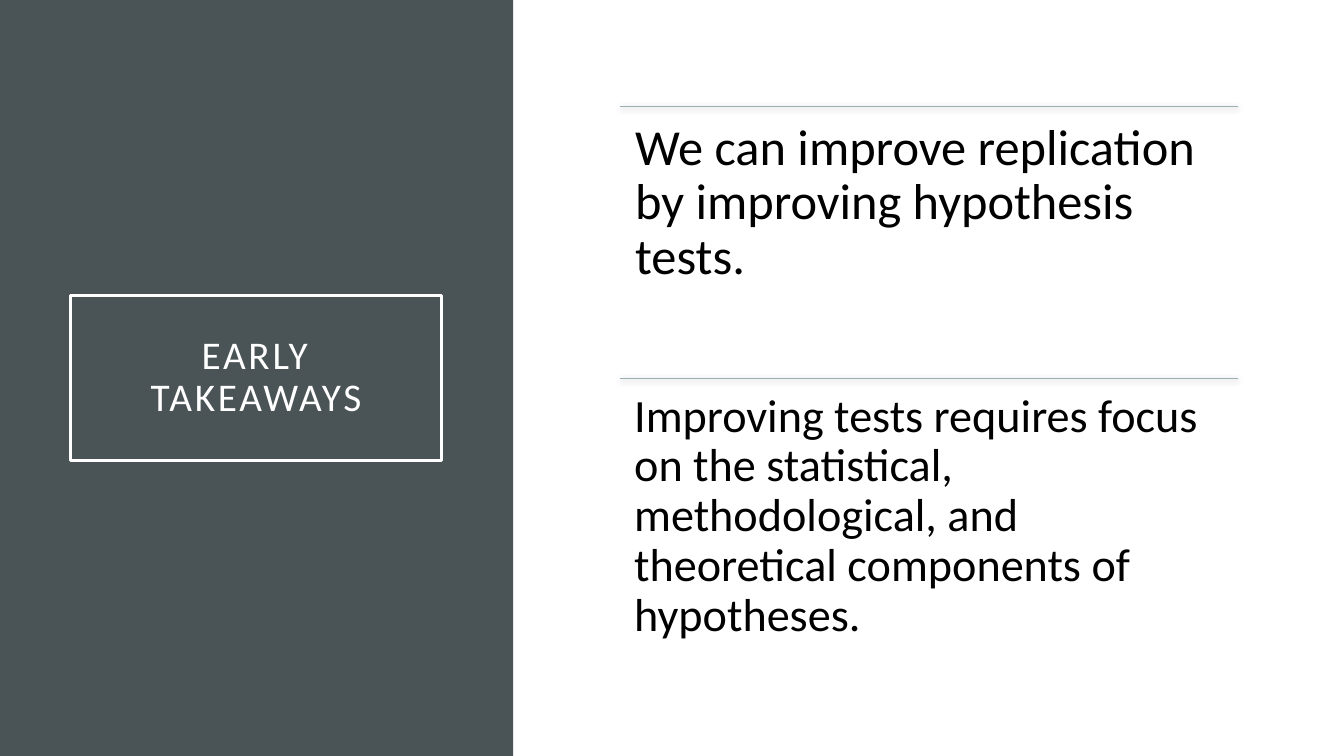
from dataclasses import dataclass

from lxml import etree
from pptx import Presentation
from pptx.dml.color import RGBColor
from pptx.enum.shapes import MSO_CONNECTOR, MSO_SHAPE
from pptx.enum.text import MSO_ANCHOR, MSO_AUTO_SIZE, PP_ALIGN
from pptx.oxml.ns import qn
from pptx.util import Inches, Pt

STRAIGHT = MSO_CONNECTOR.STRAIGHT
RECTANGLE = MSO_SHAPE.RECTANGLE
TOP, MIDDLE = MSO_ANCHOR.TOP, MSO_ANCHOR.MIDDLE
LEFT, CENTER = PP_ALIGN.LEFT, PP_ALIGN.CENTER
NO_AUTOFIT = MSO_AUTO_SIZE.NONE

# Content: text, type size, inset in inches
TITLE = "EARLY TAKEAWAYS"
TAKEAWAYS = [
    ("We can improve replication by improving hypothesis tests.", 36, 0.15),
    ("Improving tests requires focus on the statistical, methodological, "
     "and theoretical components of hypotheses.", 33, 0.14),
]

# Layout in inches
SLIDE_WIDTH, SLIDE_HEIGHT = 13.33, 7.5
PANEL_WIDTH = 5.09
TITLE_BOX = (0.7, 2.93, 3.68, 1.64)
LIST_LEFT, LIST_TOP, LIST_WIDTH = 6.15, 1.06, 6.13
ROW_HEIGHT = 2.69
TITLE_ONLY_LAYOUT = 5


@dataclass(frozen=True)
class Theme:
    font: str = "Calibri"
    panel: RGBColor = RGBColor(0x4A, 0x53, 0x56)
    on_panel: RGBColor = RGBColor(0xFF, 0xFF, 0xFF)
    text: RGBColor = RGBColor(0, 0, 0)
    rule: RGBColor = RGBColor(0x9B, 0xAF, 0xB5)
    shadow: str = "000000"
    title_size: int = 28
    title_spacing: int = 2
    frame_width: float = 2.5
    rule_width: float = 0.5


THEME = Theme()


def write_text(shape, text, *, size, color, inset, align=LEFT, anchor=TOP, spacing=0):
    """Fill a shape with one formatted paragraph."""
    frame = shape.text_frame
    frame.word_wrap = True
    frame.auto_size = NO_AUTOFIT
    frame.vertical_anchor = anchor
    frame.margin_left = frame.margin_right = Inches(inset)
    frame.margin_top = frame.margin_bottom = Inches(inset)
    paragraph = frame.paragraphs[0]
    paragraph.alignment = align
    paragraph.line_spacing = 0.9
    paragraph.space_before = Pt(0)
    run = paragraph.add_run()
    run.text = text
    run.font.name = THEME.font
    run.font.size = Pt(size)
    run.font.color.rgb = color
    if spacing:
        run.font._element.set("spc", str(spacing * 100))


def add_rule(slide, top):
    """Draw a thin line with a soft shadow below it."""
    rule = slide.shapes.add_connector(
        STRAIGHT, Inches(LIST_LEFT), Inches(top),
        Inches(LIST_LEFT + LIST_WIDTH), Inches(top))
    rule.line.color.rgb = THEME.rule
    rule.line.width = Pt(THEME.rule_width)
    properties = rule.element.find(qn("p:spPr"))
    effects = etree.SubElement(properties, qn("a:effectLst"))
    shadow = etree.SubElement(
        effects, qn("a:outerShdw"), blurRad=str(Pt(4.4)), dist=str(Pt(1.2)),
        dir="5400000", algn="ctr", rotWithShape="0")
    color = etree.SubElement(shadow, qn("a:srgbClr"), val=THEME.shadow)
    etree.SubElement(color, qn("a:alpha"), val="45000")


def main():
    presentation = Presentation()
    presentation.slide_width = Inches(SLIDE_WIDTH)
    presentation.slide_height = Inches(SLIDE_HEIGHT)
    slide = presentation.slides.add_slide(
        presentation.slide_layouts[TITLE_ONLY_LAYOUT])
    title = slide.shapes.title

    # Dark panel, placed behind the title
    panel = slide.shapes.add_shape(
        RECTANGLE, 0, 0, Inches(PANEL_WIDTH), Inches(SLIDE_HEIGHT))
    panel.shadow.inherit = False
    panel.fill.solid()
    panel.fill.fore_color.rgb = THEME.panel
    panel.line.fill.background()
    title.element.addprevious(panel.element)

    # Framed title
    title.left, title.top, title.width, title.height = map(Inches, TITLE_BOX)
    title.line.color.rgb = THEME.on_panel
    title.line.width = Pt(THEME.frame_width)
    write_text(title, TITLE, size=THEME.title_size, color=THEME.on_panel,
               inset=0.2, align=CENTER, anchor=MIDDLE,
               spacing=THEME.title_spacing)

    # Takeaways, one row each under its rule
    for row, (text, size, inset) in enumerate(TAKEAWAYS):
        top = LIST_TOP + row * ROW_HEIGHT
        add_rule(slide, top)
        box = slide.shapes.add_textbox(
            Inches(LIST_LEFT), Inches(top), Inches(LIST_WIDTH), Inches(ROW_HEIGHT))
        write_text(box, text, size=size, color=THEME.text, inset=inset)

    presentation.save("out.pptx")


if __name__ == "__main__":
    main()
